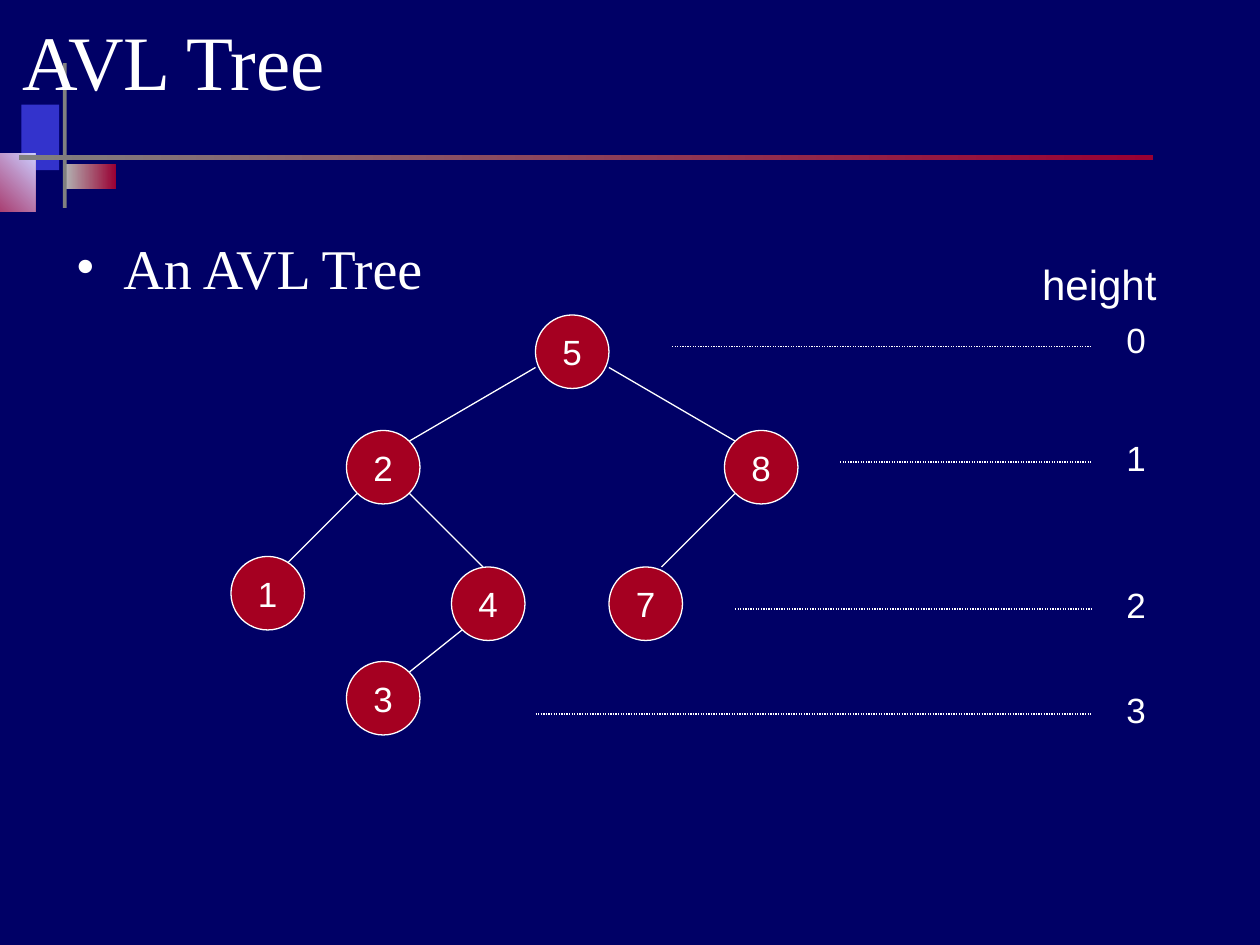
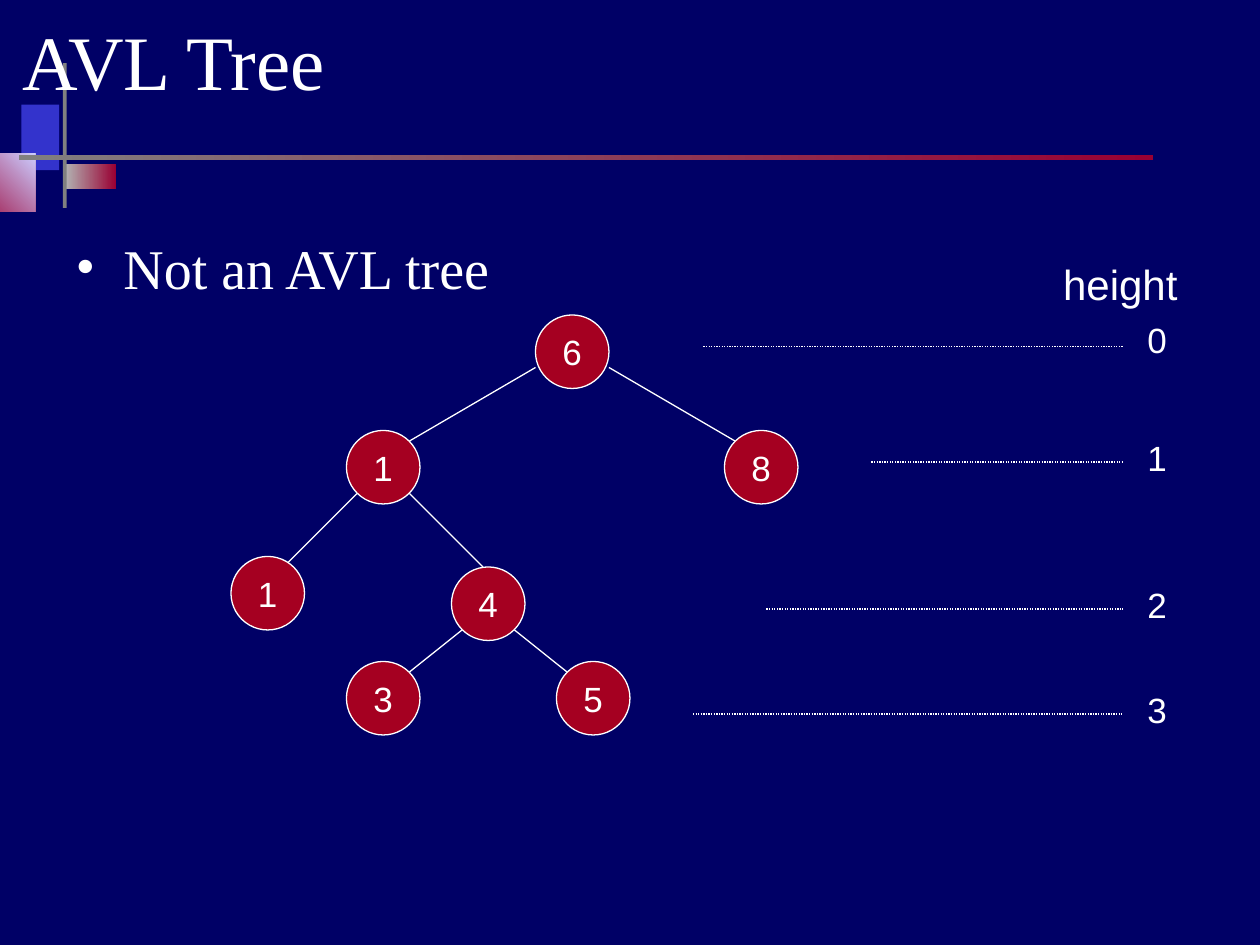
from lxml.etree import SubElement
from pptx import Presentation
from pptx.dml.color import RGBColor
from pptx.enum.dml import MSO_LINE
from pptx.enum.shapes import MSO_CONNECTOR, MSO_SHAPE
from pptx.enum.text import MSO_ANCHOR, MSO_AUTO_SIZE, PP_ALIGN
from pptx.oxml.ns import qn
from pptx.util import Inches, Pt

WHITE, NAVY, RED = "FFFFFF", "000066", "A50021"
WINE, GREY, SILVER = "990033", "808080", "B2B2B2"
SERIF, SANS = "Times New Roman", "Arial"

# Diagrams sit on a grid of twelve cells to the inch
DISC = 7
SPOTS = {
    "root": (51, 30), "left": (33, 41), "right": (69, 41),
    "far left": (22, 53), "inner left": (43, 54), "inner right": (58, 54),
    "deep left": (33, 63), "deep right": (53, 63),
}
# The edge that leads to each spot from its parent
EDGES = {
    "left": (51, 35, 39, 42), "right": (58, 35, 70, 42),
    "far left": (34, 47, 27, 54), "inner left": (39, 47, 46, 54),
    "inner right": (70, 47, 63, 54),
    "deep left": (44, 60, 39, 64), "deep right": (49, 60, 54, 64),
}
LEVELS = [33, 44, 58, 68]
MARKS = [29.75, 41, 55, 65]

# Left, top, width, height, colours, angle
DECOR = [
    (0.17, 0.83, 0.3, 0.52, ["3333CC"], 0),
    (0.52, 1.3, 0.4, 0.2, [SILVER, WINE], 0),
    (-0.33, 1.22, 0.61, 0.46, [WINE, "CCCCFF"], 45),
    (0.5, 0.5, 0.03, 1.15, [GREY], 0),
    (0.15, 1.23, 9, 0.04, [GREY, WINE], 0),
]

TREES = [
    {"text": "An AVL Tree", "starts": [64, 80, 70, 51], "end": 104, "mid": 108.2,
     "keys": {"root": 5, "left": 2, "right": 8, "far left": 1,
              "inner left": 4, "inner right": 7, "deep left": 3}},
    {"text": "Not an AVL tree", "starts": [67, 83, 73, 66], "end": 107, "mid": 110.2,
     "keys": {"root": 6, "left": 1, "right": 8, "far left": 1,
              "inner left": 4, "deep left": 3, "deep right": 5}},
]


def cell(*counts):
    return [Inches(count / 12) for count in counts]


def tint(target, *shades):
    """Fill with one colour, or with a gradient of two."""
    if len(shades) == 1:
        target.solid()
        target.fore_color.rgb = RGBColor.from_string(shades[0])
        return
    target.gradient()
    for stop, shade in zip(target.gradient_stops, shades):
        stop.color.rgb = RGBColor.from_string(shade)


def apply(target, values):
    for name, value in values.items():
        setattr(target, name, value)


def write(shape, text, size, face, align, **frame):
    apply(shape.text_frame, frame)
    para = shape.text_frame.paragraphs[0]
    apply(para, {"alignment": align, "space_before": Pt(0)})
    run = para.add_run()
    run.text = text
    apply(run.font, {"size": Pt(size), "name": face})
    tint(run.font.fill, WHITE)
    return para


def place(shape, *box):
    apply(shape, dict(zip(("left", "top", "width", "height"), map(Inches, box))))


def bullet(para):
    props = para._p.get_or_add_pPr()
    props.set("marL", str(Inches(0.38)))
    props.set("indent", str(-Inches(0.38)))
    colour = SubElement(props, qn("a:buClr"))
    SubElement(colour, qn("a:srgbClr"), val=WHITE)
    SubElement(props, qn("a:buFont"), typeface=SERIF)
    SubElement(props, qn("a:buChar"), char="•")


def line(slide, ends, dash=None):
    link = slide.shapes.add_connector(MSO_CONNECTOR.STRAIGHT, *cell(*ends))
    SubElement(link.element.spPr, qn("a:effectLst"))
    tint(link.line.fill, WHITE)
    apply(link.line, {"width": Pt(0.75), "dash_style": dash})


def node(slide, spot, key):
    disc = slide.shapes.add_shape(MSO_SHAPE.OVAL, *cell(*spot, DISC, DISC))
    disc.shadow.inherit = False
    tint(disc.fill, RED)
    tint(disc.line.fill, WHITE)
    disc.line.width = Pt(0.75)
    write(disc, str(key), 20, SANS, PP_ALIGN.CENTER, word_wrap=False,
          vertical_anchor=MSO_ANCHOR.MIDDLE, margin_top=0, margin_bottom=0)


def label(slide, mid, top, wide, high, text, size):
    box = slide.shapes.add_textbox(*cell(mid - wide / 2, top, wide, high))
    write(box, text, size, SANS, PP_ALIGN.CENTER, word_wrap=False,
          auto_size=MSO_AUTO_SIZE.SHAPE_TO_FIT_TEXT)


def adorn(master, slide):
    """Build the shared ornament and move it behind the master's text."""
    tint(master.background.fill, NAVY)
    for depth, (*box, shades, angle) in enumerate(DECOR, start=2):
        bar = slide.shapes.add_shape(MSO_SHAPE.RECTANGLE, *map(Inches, box))
        bar.shadow.inherit = False
        bar.line.fill.background()
        tint(bar.fill, *shades)
        if len(shades) > 1:
            bar.fill.gradient_angle = angle
        master.shapes.element.insert(depth, bar.element)


def head(slide, text):
    title, body = slide.placeholders
    place(title, 0.08, -0.08, 9, 1)
    write(title, "AVL Tree", 44, SERIF, PP_ALIGN.LEFT, margin_top=Inches(0.15),
          vertical_anchor=MSO_ANCHOR.MIDDLE, auto_size=MSO_AUTO_SIZE.NONE)
    place(body, 0.5, 1.75, 9, 0.67)
    bullet(write(body, text, 32, SERIF, PP_ALIGN.LEFT, margin_top=Inches(0.1),
                 auto_size=MSO_AUTO_SIZE.NONE))


def draw(slide, tree):
    # Nodes and the edges to them
    for name, key in tree["keys"].items():
        if name in EDGES:
            line(slide, EDGES[name])
        node(slide, SPOTS[name], key)
    # Height scale
    label(slide, tree["mid"] - 3.5, 24, 13.3, 6, "height", 24)
    for level, (start, row, top) in enumerate(zip(tree["starts"], LEVELS, MARKS)):
        line(slide, (start, row, tree["end"], row), MSO_LINE.ROUND_DOT)
        label(slide, tree["mid"], top, 4.2, 5.25, str(level), 20)


def main():
    deck = Presentation()
    apply(deck, {"slide_width": Inches(10), "slide_height": Inches(7.5)})
    for tree in TREES:
        slide = deck.slides.add_slide(deck.slide_layouts[1])
        head(slide, tree["text"])
        draw(slide, tree)
    adorn(deck.slide_master, deck.slides[0])
    deck.save("out.pptx")


if __name__ == "__main__":
    main()
